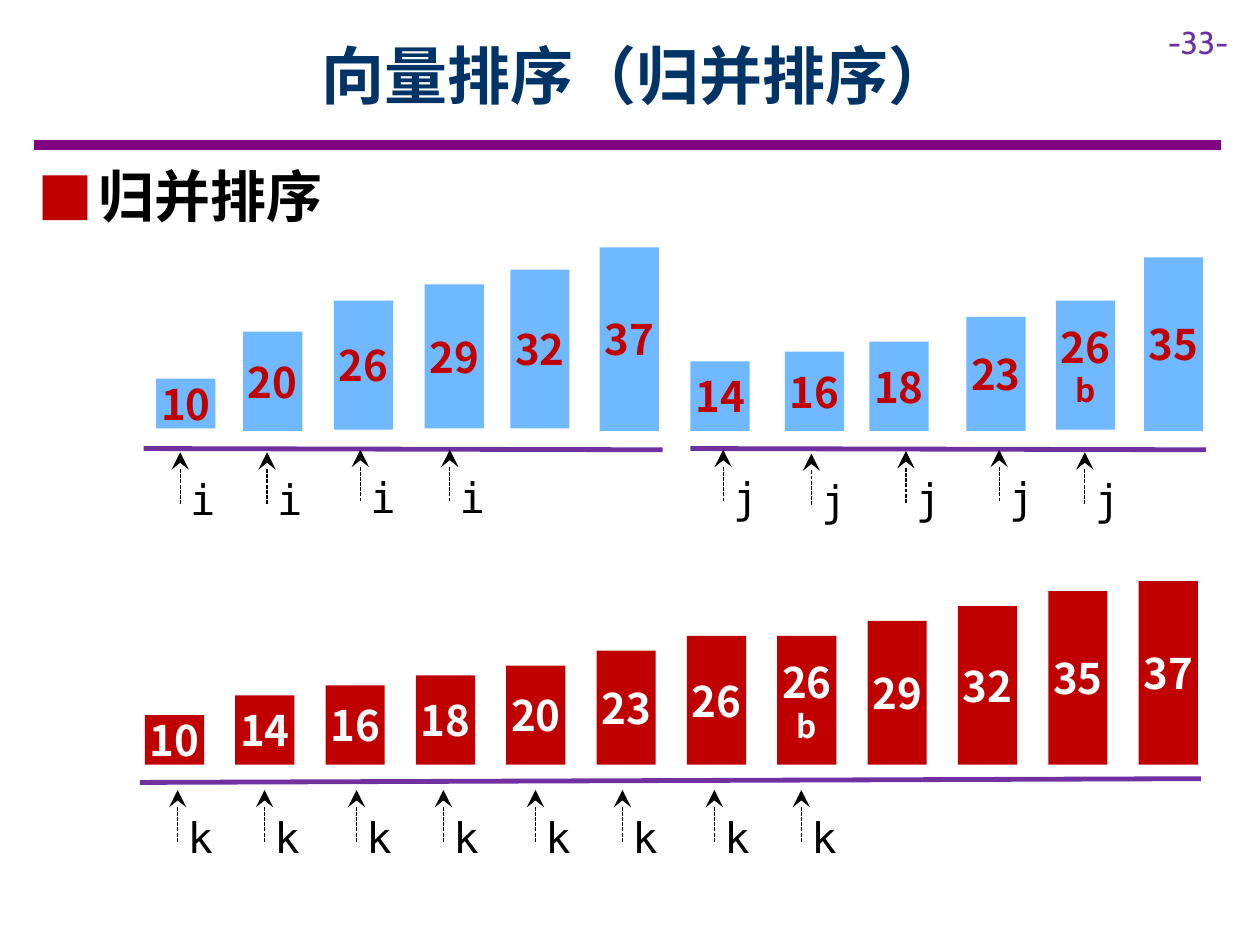
from lxml import etree
from pptx import Presentation
from pptx.dml.color import RGBColor
from pptx.enum.dml import MSO_LINE
from pptx.enum.shapes import MSO_CONNECTOR, MSO_SHAPE
from pptx.enum.text import MSO_ANCHOR, MSO_AUTO_SIZE, PP_ALIGN
from pptx.oxml.ns import qn
from pptx.util import Inches, Pt

# Content: bars are (left, bottom, value, optional mark); pointers are (x, tip y)
TITLE = "向量排序（归并排序）"
TOPIC = "归并排序"
PAGE_NUMBER = "-33-"
LEFT_RUN = [(1.24, 3.4, 10), (1.93, 3.42, 20), (2.65, 3.41, 26),
            (3.37, 3.4, 29), (4.05, 3.4, 32), (4.76, 3.42, 37)]
RIGHT_RUN = [(5.48, 3.42, 14), (6.23, 3.42, 16), (6.9, 3.42, 18),
             (7.67, 3.42, 23), (8.38, 3.41, 26, "b"), (9.08, 3.42, 35)]
MERGED = [(10,), (14,), (16,), (18,), (20,), (23,),
          (26,), (26, "b"), (29,), (32,), (35,), (37,)]
BASELINES = [(1.14, 3.56, 5.26, 3.57), (5.48, 3.56, 9.57, 3.57),
             (1.11, 6.21, 9.53, 6.18)]
POINTERS = {
    "i": [(1.43, 3.59), (2.12, 3.59), (2.86, 3.57), (3.57, 3.57)],
    "j": [(5.74, 3.57), (6.44, 3.6), (7.19, 3.58), (7.93, 3.57), (8.61, 3.59)],
    # k pointers come in pairs
    "k": [(1.41 + 1.42 * pair + shift, 6.27)
          for pair in range(4) for shift in (0, 0.69)],
}

COLORS = {"title": "003366", "rule": "800080", "axis": "7030A0", "red": "C00000",
          "blue": "70B8FF", "white": "FFFFFF", "black": "000000"}
SANS, MONO, NUMBER = "Noto Sans CJK SC", "DejaVu Sans Mono", "Cabin"
BAR_WIDTH = 0.47
UNITS_PER_INCH = 25.4  # one millimetre of height per unit
MERGED_LEFT, MERGED_STEP, MERGED_BOTTOM = 1.15, 0.717, 6.07


def color(name):
    return RGBColor.from_string(COLORS[name])


def add_span(para, text, size, font, color_name, bold=False):
    span = para.add_run()
    span.text = text
    span.font.size = Pt(size)
    span.font.name = font
    span.font.bold = bold
    span.font.color.rgb = color(color_name)
    etree.SubElement(span.font._element, qn("a:ea"), typeface=font)


def place(shape, left, top, width, height):
    shape.left, shape.top = Inches(left), Inches(top)
    shape.width, shape.height = Inches(width), Inches(height)


def add_label(page, left, top, width, height, text, size, font, color_name):
    box = page.shapes.add_textbox(Inches(left), Inches(top), Inches(width), Inches(height))
    box.text_frame.word_wrap = False
    add_span(box.text_frame.paragraphs[0], text, size, font, color_name)


def add_line(page, x1, y1, x2, y2, color_name, width):
    line = page.shapes.add_connector(MSO_CONNECTOR.STRAIGHT, Inches(x1), Inches(y1),
                                     Inches(x2), Inches(y2))
    line.line.color.rgb = color(color_name)
    line.line.width = Pt(width)
    etree.SubElement(line._element.spPr, qn("a:effectLst"))
    return line


def add_bar(page, left, bottom, fill, text_color, value, mark=None):
    height = value / UNITS_PER_INCH
    bar = page.shapes.add_shape(MSO_SHAPE.RECTANGLE, Inches(left), Inches(bottom - height),
                                Inches(BAR_WIDTH), Inches(height))
    bar.shadow.inherit = False
    bar.fill.solid()
    bar.fill.fore_color.rgb = color(fill)
    bar.line.fill.background()
    frame = bar.text_frame
    frame.margin_left = frame.margin_right = 0
    frame.margin_top = frame.margin_bottom = Inches(0.1)
    frame.vertical_anchor = MSO_ANCHOR.MIDDLE
    para = frame.paragraphs[0]
    para.alignment = PP_ALIGN.CENTER
    add_span(para, str(value), 24, SANS, text_color, True)
    if mark:
        para = frame.add_paragraph()
        para.alignment = PP_ALIGN.CENTER
        add_span(para, mark, 18, SANS, text_color, True)


def add_pointer(page, name, x, tip):
    add_label(page, x - 0.02, tip + 0.12, 0.39, 0.5, name, 24, MONO, "black")
    arrow = add_line(page, x, tip + 0.41, x, tip, "black", 0.75)
    arrow.line.dash_style = MSO_LINE.SQUARE_DOT
    etree.SubElement(arrow.line._get_or_add_ln(), qn("a:tailEnd"),
                     type="stealth", w="lg", len="lg")


def add_headings(page):
    title, body = page.shapes.title, page.placeholders[1]
    place(title, 0.9, 0.09, 8.31, 1)
    title.text_frame.vertical_anchor = MSO_ANCHOR.MIDDLE
    title.text_frame.auto_size = MSO_AUTO_SIZE.NONE
    para = title.text_frame.paragraphs[0]
    para.alignment = PP_ALIGN.CENTER
    add_span(para, TITLE, 36, SANS, "title", True)

    place(body, 0.2, 1.23, 9.45, 0.64)
    body.text_frame.auto_size = MSO_AUTO_SIZE.NONE
    para = body.text_frame.paragraphs[0]
    para.space_before, para.space_after = Pt(0), Pt(6)
    properties = para._p.get_or_add_pPr()
    properties.set("marL", str(Inches(0.48)))
    properties.set("indent", str(Inches(-0.48)))
    bullet_color = etree.SubElement(properties, qn("a:buClr"))
    etree.SubElement(bullet_color, qn("a:srgbClr"), val=COLORS["red"])
    etree.SubElement(properties, qn("a:buFont"), typeface=SANS)
    etree.SubElement(properties, qn("a:buChar"), char="■")
    add_span(para, TOPIC, 32, SANS, "black", True)


def main():
    deck = Presentation()
    deck.slide_width, deck.slide_height = Inches(10), Inches(7.5)
    page = deck.slides.add_slide(deck.slide_layouts[1])

    # Header
    add_line(page, 0.27, 1.15, 9.69, 1.15, "rule", 6)
    add_label(page, 9.17, 0.13, 0.83, 0.4, PAGE_NUMBER, 18, NUMBER, "axis")
    add_headings(page)

    # Sorted halves and merged result
    for left, bottom, *content in LEFT_RUN + RIGHT_RUN:
        add_bar(page, left, bottom, "blue", "red", *content)
    for index, content in enumerate(MERGED):
        add_bar(page, MERGED_LEFT + index * MERGED_STEP, MERGED_BOTTOM,
                "red", "white", *content)
    for ends in BASELINES:
        add_line(page, *ends, "axis", 2.75)

    # Positions of the pointers
    for name, positions in POINTERS.items():
        for x, tip in positions:
            add_pointer(page, name, x, tip)

    deck.save("out.pptx")


if __name__ == "__main__":
    main()
